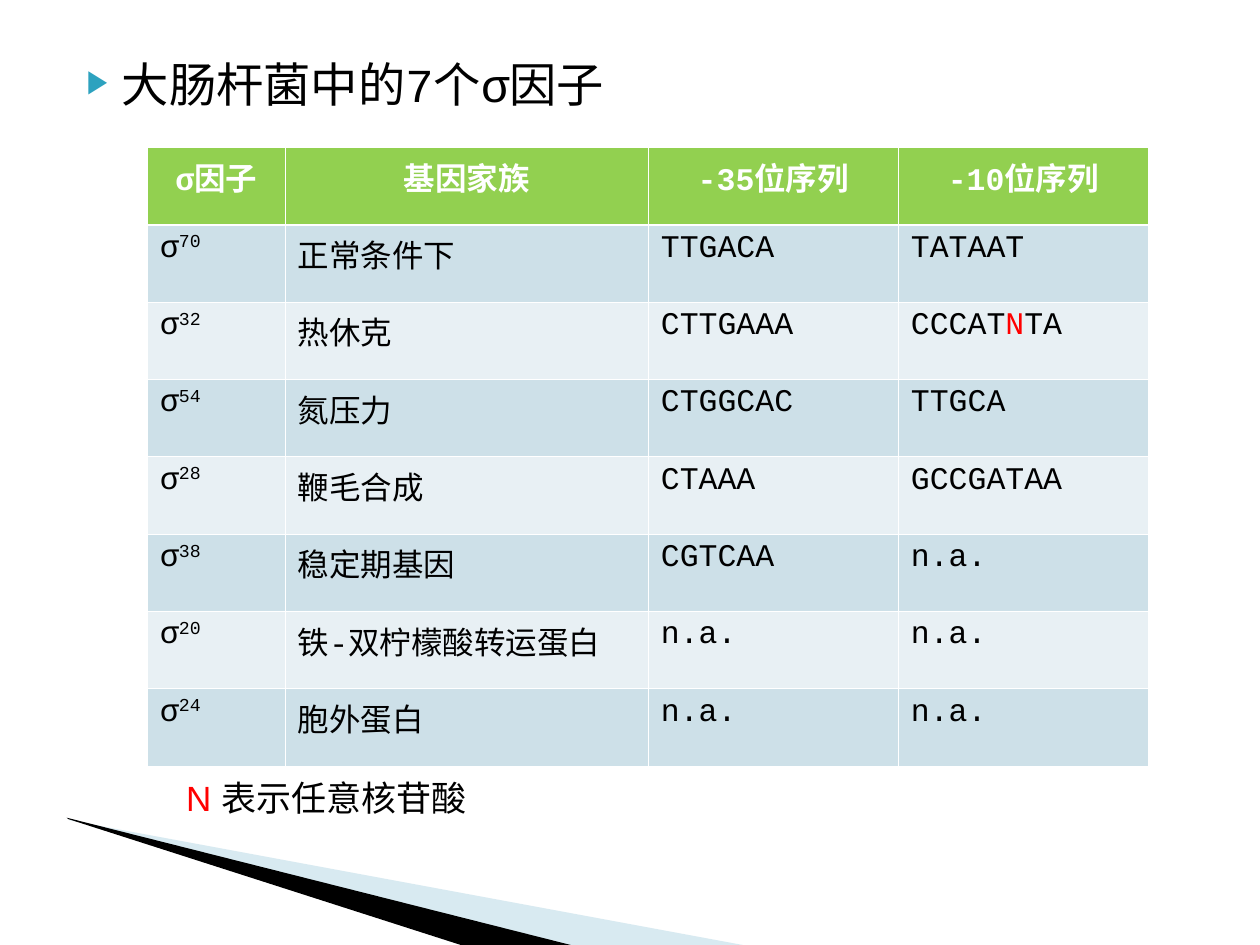
from dataclasses import dataclass

from lxml.etree import SubElement
from pptx import Presentation
from pptx.dml.color import RGBColor
from pptx.enum.text import PP_ALIGN
from pptx.oxml.ns import qn
from pptx.util import Emu, Inches, Pt

# Grid of 100 columns by 75 rows of square units
WIDTH, HEIGHT, UNIT = Inches(10), Inches(7.5), Inches(0.1)
MONO, SANS = "Courier New", "Arial"
BLACK, WHITE, RED = "000000", "FFFFFF", "FF0000"
HEADER_FILL, BANDS = "92D050", ("CDE0E8", "E8F0F4")


@dataclass
class Wedge:
    frame: tuple[float, float, float, float]
    points: list[tuple[float, float]]
    color: str
    alpha: int = 100


@dataclass
class Factor:
    number: str
    family: str
    minus35: str
    minus10: str


WEDGES = [
    Wedge((7.8, 54.7, 41.6, 15.8),
          [(5.5, 65.1), (59.5, 75.1), (45.6, 75.1), (5.5, 65)], "9FCBDC", 40),
    Wedge((-0.6, 63.3, 41.6, 9.2),
          [(5.3, 64.9), (45.7, 75.1), (37.2, 75.2), (5.4, 65)], BLACK),
]
HEADERS = ["σ因子", "基因家族", "-35位序列", "-10位序列"]
COLUMNS = [10.95, 28.8, 19.85, 19.85]
ROW_HEIGHT = 6.14
FACTORS = [
    Factor("70", "正常条件下", "TTGACA", "TATAAT"),
    Factor("32", "热休克", "CTTGAAA", "CCCATNTA"),
    Factor("54", "氮压力", "CTGGCAC", "TTGCA"),
    Factor("28", "鞭毛合成", "CTAAA", "GCCGATAA"),
    Factor("38", "稳定期基因", "CGTCAA", "n.a."),
    Factor("20", "铁-双柠檬酸转运蛋白", "n.a.", "n.a."),
    Factor("24", "胞外蛋白", "n.a.", "n.a."),
]


def grid(n: float) -> Emu:
    return Emu(round(n * UNIT))


def rgb(color: str) -> RGBColor:
    return RGBColor.from_string(color)


def add_text(p, text: str, size=18, font=MONO, color=BLACK, bold=False, baseline=0):
    r = p.add_run()
    r.text = text
    r.font.size, r.font.name, r.font.bold = Pt(size), font, bold
    r.font.color.rgb = rgb(color)
    if baseline:
        r._r.get_or_add_rPr().set("baseline", str(baseline * 1000))


def add_box(s, left: float, top: float, width: float, height: float):
    tf = s.shapes.add_textbox(*map(grid, (left, top, width, height))).text_frame
    tf.word_wrap = True
    return tf.paragraphs[0]


def add_wedge(s, wedge: Wedge) -> None:
    points = [(grid(x), grid(y)) for x, y in wedge.points]
    builder = s.shapes.build_freeform(*points[0])
    builder.add_line_segments(points[1:], close=True)
    sp = builder.convert_to_shape()
    # The outline reaches beyond its frame, so its points are set against the frame
    sp.left, sp.top, sp.width, sp.height = map(grid, wedge.frame)
    outline = next(sp._element.iter(qn("a:path")))
    outline.set("w", str(sp.width))
    outline.set("h", str(sp.height))
    for pt, (x, y) in zip(outline.iter(qn("a:pt")), points):
        pt.set("x", str(x - sp.left))
        pt.set("y", str(y - sp.top))
    sp.shadow.inherit = False
    sp.line.fill.background()
    sp.fill.solid()
    sp.fill.fore_color.rgb = rgb(wedge.color)
    if wedge.alpha < 100:
        color = sp._element.spPr.find(qn("a:solidFill"))[0]
        SubElement(color, qn("a:alpha")).set("val", str(wedge.alpha * 1000))


def add_bullet(p, char: str, color: str, percent: int, left: float, hanging: float) -> None:
    pPr = p._p.get_or_add_pPr()
    pPr.set("marL", str(grid(left)))
    pPr.set("indent", str(-grid(hanging)))
    bullet_color = SubElement(pPr, qn("a:buClr"))
    SubElement(bullet_color, qn("a:srgbClr")).set("val", color)
    SubElement(pPr, qn("a:buSzPct")).set("val", str(percent * 1000))
    SubElement(pPr, qn("a:buFont")).set("typeface", MONO)
    SubElement(pPr, qn("a:buChar")).set("char", char)


def style_cell(cell, color: str, top=0.45, bottom=0.45) -> None:
    tcPr = cell._tc.get_or_add_tcPr()
    for side, width in (("L", 0.45), ("R", 0.45), ("T", top), ("B", bottom)):
        ln = SubElement(tcPr, qn(f"a:ln{side}"), w=str(Pt(width)))
        fill = SubElement(ln, qn("a:solidFill"))
        SubElement(fill, qn("a:srgbClr")).set("val", WHITE)
    cell.fill.solid()
    cell.fill.fore_color.rgb = rgb(color)


def add_factor_table(s, left: float, top: float) -> None:
    count = len(FACTORS) + 1
    table = s.shapes.add_table(count, len(COLUMNS), grid(left), grid(top),
                               grid(sum(COLUMNS)), grid(ROW_HEIGHT * count)).table
    for column, width in zip(table.columns, COLUMNS):
        column.width = grid(width)
    for row in table.rows:
        row.height = grid(ROW_HEIGHT)

    # Header row, with a heavier rule below it
    for cell, title in zip(table.rows[0].cells, HEADERS):
        style_cell(cell, HEADER_FILL, bottom=1.47)
        p = cell.text_frame.paragraphs[0]
        p.alignment = PP_ALIGN.CENTER
        add_text(p, title, color=WHITE, bold=True)

    # One banded row for each factor
    for i, factor in enumerate(FACTORS):
        cells = list(table.rows[i + 1].cells)
        for cell in cells:
            style_cell(cell, BANDS[i % 2], top=0.45 if i else 1.47)
        name, family, minus35, minus10 = (c.text_frame.paragraphs[0] for c in cells)
        add_text(name, "σ")
        add_text(name, factor.number, baseline=30)
        add_text(family, factor.family)
        add_text(minus35, factor.minus35)
        before, any_base, after = factor.minus10.partition("N")
        add_text(minus10, before)
        if any_base:
            add_text(minus10, any_base, color=RED)
            add_text(minus10, after)


def main() -> None:
    prs = Presentation()
    prs.slide_width, prs.slide_height = WIDTH, HEIGHT
    s = prs.slides.add_slide(prs.slide_layouts[6])

    # Corner decoration
    for wedge in WEDGES:
        add_wedge(s, wedge)

    # Heading
    p = add_box(s, 4.7, 3.9, 90, 6.7)
    add_bullet(p, "▶", "2DA2BF", 68, left=4, hanging=2.8)
    add_text(p, "大肠杆菌中的7个σ因子", size=27)

    add_factor_table(s, 11.7, 11.7)

    # Note on the symbol N
    p = add_box(s, 13.8, 61.1, 41.4, 4.4)
    add_text(p, "N ", size=20, font=SANS, color=RED)
    add_text(p, "表示任意核苷酸", size=20, font=SANS)

    prs.save("out.pptx")


if __name__ == "__main__":
    main()
